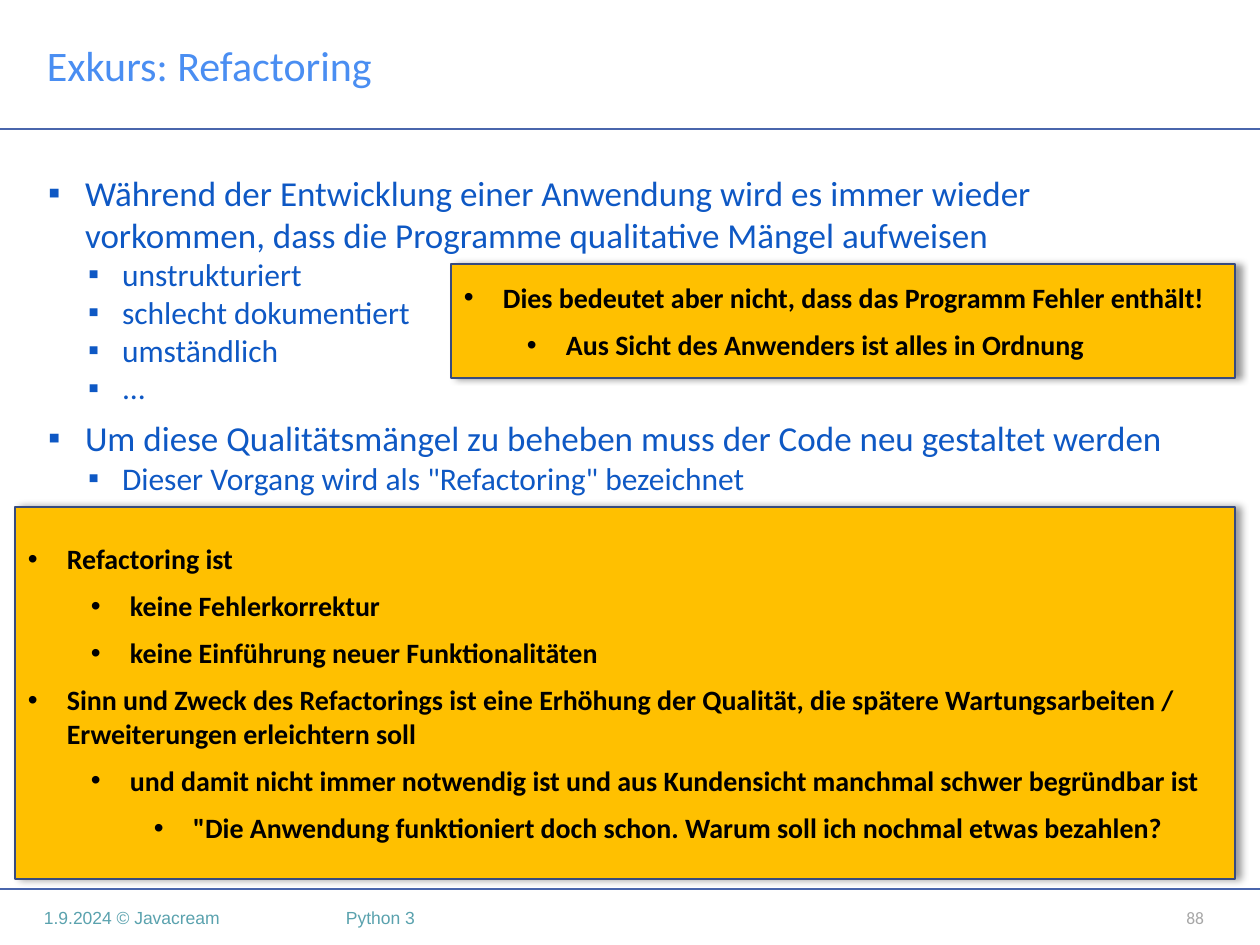
import pptx
import pptx.util
import pptx.dml.color
import pptx.enum.shapes
import pptx.enum.text
import pptx.oxml
import pptx.oxml.ns

PX = 914400 / 126
WIDTH, HEIGHT = 1260, 945
BLUE, INK, TEAL = "0E58C4", "000000", "5AA2AE"
ALIGN = pptx.enum.text.PP_ALIGN
MIDDLE = pptx.enum.text.MSO_ANCHOR.MIDDLE
TOP = pptx.enum.text.MSO_ANCHOR.TOP

TITLE = "Exkurs: Refactoring"
BODY = [
    (0, "Während der Entwicklung einer Anwendung wird es immer wieder vorkommen, "
        "dass die Programme qualitative Mängel aufweisen"),
    (1, "unstrukturiert"),
    (1, "schlecht dokumentiert"),
    (1, "umständlich"),
    (1, "..."),
    (0, "Um diese Qualitätsmängel zu beheben muss der Code neu gestaltet werden"),
    (1, 'Dieser Vorgang wird als "Refactoring" bezeichnet'),
]
CALLOUTS = [
    ((451, 264, 784, 114), [
        (0, "Dies bedeutet aber nicht, dass das Programm Fehler enthält!"),
        (1, "Aus Sicht des Anwenders ist alles in Ordnung"),
    ]),
    ((15, 507, 1220, 372), [
        (0, "Refactoring ist"),
        (1, "keine Fehlerkorrektur"),
        (1, "keine Einführung neuer Funktionalitäten"),
        (0, "Sinn und Zweck des Refactorings ist eine Erhöhung der Qualität, "
            "die spätere Wartungsarbeiten / Erweiterungen erleichtern soll"),
        (1, "und damit nicht immer notwendig ist und aus Kundensicht "
            "manchmal schwer begründbar ist"),
        (2, '"Die Anwendung funktioniert doch schon. '
            "Warum soll ich nochmal etwas bezahlen?"),
    ]),
]
FOOTER = [
    ("1.9.2024 © Javacream", 44, 277, 0, "Arial", TEAL, ALIGN.LEFT),
    ("Python 3", 333, 745, 13, "Arial", TEAL, ALIGN.LEFT),
    ("88", 1102, 115, 13, "Calibri", "A7A7A7", ALIGN.RIGHT),
]
RULES = [889, 129]
FOOTER_TOP = 889


def px(length):
    return pptx.util.Emu(round(length * PX))


def color(value):
    return pptx.dml.color.RGBColor.from_string(value)


def place(shape, left, top, width, height):
    shape.left, shape.top = px(left), px(top)
    shape.width, shape.height = px(width), px(height)


def element(parent, xml):
    declared = xml.replace(" ", " " + pptx.oxml.ns.nsdecls("a") + " ", 1)
    parent.append(pptx.oxml.parse_xml(declared))


def write(shape, items, sizes, ink, font="Calibri", bold=False, anchor=MIDDLE,
          align=ALIGN.LEFT, bullet=None, indents=(), gaps=(0,), inset=(13, 6)):
    frame = shape.text_frame
    frame.word_wrap = True
    frame.auto_size = pptx.enum.text.MSO_AUTO_SIZE.NONE
    frame.vertical_anchor = anchor
    frame.margin_left = frame.margin_right = px(inset[0])
    frame.margin_top = frame.margin_bottom = px(inset[1])
    for index, (level, text) in enumerate(items):
        paragraph = frame.add_paragraph() if index else frame.paragraphs[0]
        paragraph.text = text
        paragraph.level = level
        paragraph.alignment = align
        if bullet:
            properties = paragraph._p.get_or_add_pPr()
            margin, hanging = indents[level]
            properties.set("marL", str(px(margin)))
            properties.set("indent", str(-px(hanging)))
            element(properties, f'<a:buClr ><a:srgbClr val="{ink}"/></a:buClr>')
            element(properties, '<a:buFont typeface="Arial"/>')
            element(properties, f'<a:buChar char="{bullet}"/>')
        paragraph.space_before = pptx.util.Pt(gaps[level] if index else 0)
        paragraph.font.size = pptx.util.Pt(sizes[level])
        paragraph.font.name = font
        paragraph.font.bold = bold
        paragraph.font.color.rgb = color(ink)


def add_rule(slide, y):
    rule = slide.shapes.add_connector(
        pptx.enum.shapes.MSO_CONNECTOR.STRAIGHT, 0, px(y), px(WIDTH), px(y))
    rule.line.color.rgb = color("4A66AC")
    rule.line.width = pptx.util.Pt(1)
    element(rule._element.spPr, "<a:effectLst />")


def add_callout(slide, box, items):
    callout = slide.shapes.add_shape(
        pptx.enum.shapes.MSO_SHAPE.RECTANGLE, *map(px, box))
    callout.fill.solid()
    callout.fill.fore_color.rgb = color("FFC000")
    callout.line.color.rgb = color("374B7F")
    callout.line.width = pptx.util.Pt(1)
    callout.shadow.inherit = False
    effects = callout._element.spPr.find(pptx.oxml.ns.qn("a:effectLst"))
    blur, distance = pptx.util.Pt(4), pptx.util.Pt(3)
    element(effects, f'<a:outerShdw blurRad="{blur}" dist="{distance}" dir="0" '
                     'rotWithShape="0"><a:srgbClr val="000000">'
                     '<a:alpha val="40000"/></a:srgbClr></a:outerShdw>')
    write(callout, items, (16, 16, 16), INK, bold=True, bullet="•",
          indents=((39, 39), (102, 39), (165, 39)), gaps=(7.7, 7.7, 7.7))


def main():
    deck = pptx.Presentation()
    deck.slide_width, deck.slide_height = px(WIDTH), px(HEIGHT)
    slide = deck.slides.add_slide(deck.slide_layouts[1])

    for y in RULES:
        add_rule(slide, y)

    title, body = slide.placeholders
    place(title, 34, 0, 784, 129)
    write(title, [(0, TITLE)], (24,), "4A8EF2")
    place(body, 35, 165, 1176, 702)
    write(body, BODY, (20, 18), BLUE, anchor=TOP, bullet="▪",
          indents=((37, 37), (74, 34)), gaps=(6, 0))

    for text, left, width, margin, font, ink, align in FOOTER:
        note = slide.shapes.add_textbox(
            px(left), px(FOOTER_TOP), px(width), px(HEIGHT - FOOTER_TOP))
        write(note, [(0, text)], (10,), ink, font=font, align=align,
              inset=(margin, 5 if margin else 0))

    for box, items in CALLOUTS:
        add_callout(slide, box, items)

    deck.save("out.pptx")


if __name__ == "__main__":
    main()
